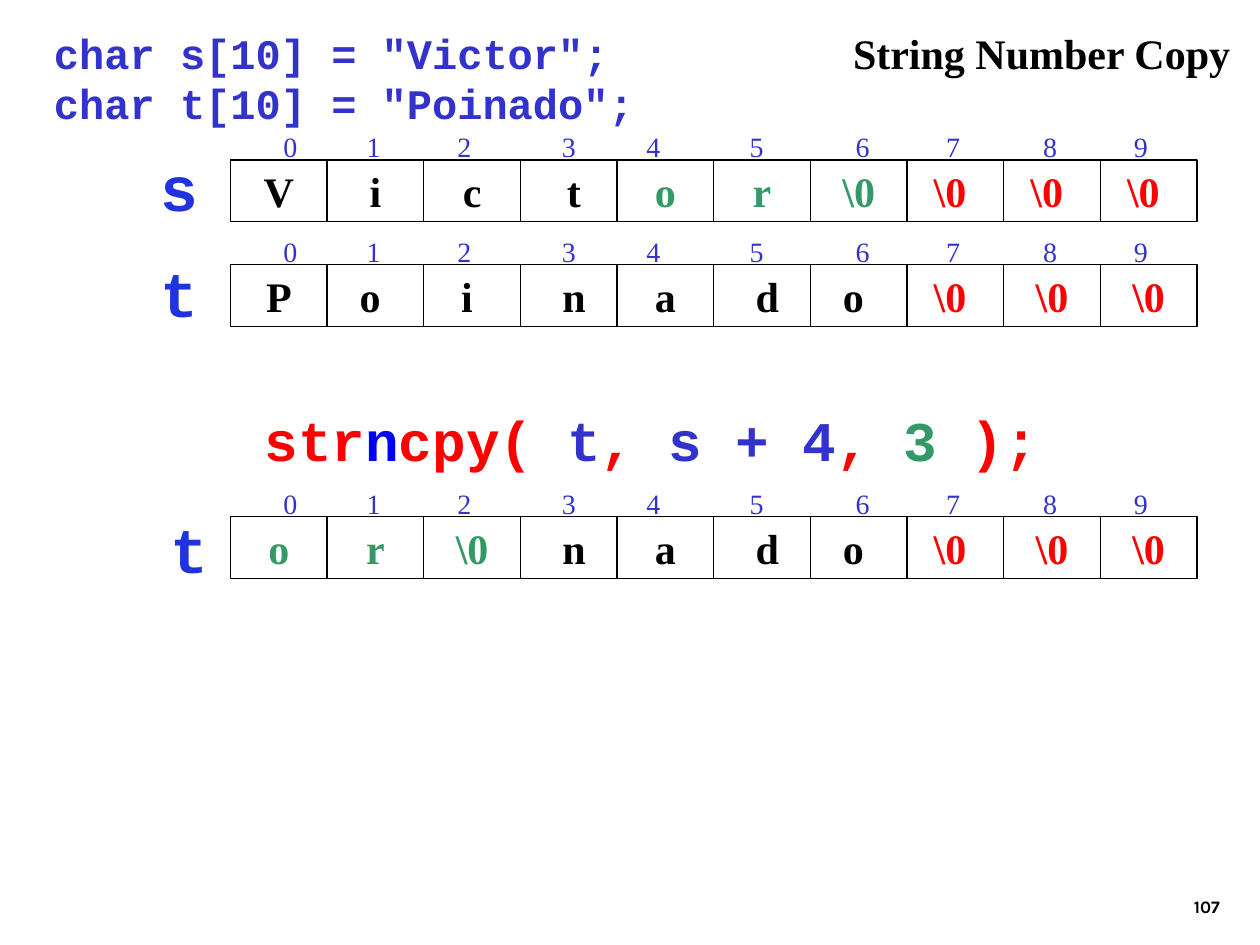
from dataclasses import dataclass

from lxml import etree
from pptx import Presentation
from pptx.dml.color import RGBColor
from pptx.enum.shapes import MSO_SHAPE
from pptx.enum.text import MSO_ANCHOR, MSO_AUTO_SIZE, PP_ALIGN
from pptx.oxml.ns import qn
from pptx.util import Inches, Pt

RECTANGLE = MSO_SHAPE.RECTANGLE
TOP, MIDDLE, BOTTOM = MSO_ANCHOR.TOP, MSO_ANCHOR.MIDDLE, MSO_ANCHOR.BOTTOM
LEFT, CENTER, RIGHT = PP_ALIGN.LEFT, PP_ALIGN.CENTER, PP_ALIGN.RIGHT
NO_AUTOFIT = MSO_AUTO_SIZE.NONE
TITLE_ONLY = 5


@dataclass(frozen=True)
class Theme:
    code_font: str = "Courier New"
    text_font: str = "Times New Roman"
    page_font: str = "Karla"
    black: str = "000000"
    red: str = "FF0000"
    green: str = "339966"
    indigo: str = "3333CC"
    blue: str = "0000FF"
    label_blue: str = "2133DF"
    name_size: int = 36
    call_size: int = 32
    text_size: int = 24
    index_size: int = 16
    page_size: int = 10
    line_width: float = 0.75


THEME = Theme()

# Array geometry in inches: the index line starts above the cells
ARRAY_LEFT, ARRAY_WIDTH, ROW_HEIGHT = 1.83, 7.67, 0.49
CELL_DROP = 0.35
INDEX_INSET = 0.42
INDEX_STOPS = (0.66, 1.38, 2.21, 2.88, 3.70, 4.54, 5.26, 6.03, 6.75)

# Each array: top, name, name position, cells, indexes taking part in the copy
ARRAYS = (
    (0.92, "s", (1.17, 1.13),
     ("V", "i", "c", " t", "o", "r", "\\0", "\\0 ", "\\0 ", "\\0 "), range(4, 7)),
    (1.75, "t", (1.17, 1.97),
     ("P", "o ", "i ", " n", " a ", " d", "o ", "\\0 ", " \\0 ", " \\0 "), ()),
    (3.75, "t", (1.25, 4.0),
     ("o", "r", "\\0", " n", " a ", " d", "o ", "\\0 ", " \\0 ", " \\0 "), range(3)),
)

CALL = (
    ("str", THEME.red), ("n", THEME.blue), ("cpy( ", THEME.red),
    ("t", THEME.indigo), (",", THEME.red), (" s + 4", THEME.indigo),
    (", ", THEME.red), ("3 ", THEME.green), (");", THEME.red),
)


def style(span, font, size, color, bold=True):
    span.font.name = font
    span.font.size = Pt(size)
    span.font.bold = bold
    span.font.color.rgb = RGBColor.from_string(color)


def set_text(shape, text, font, size, color, bold=True, align=LEFT, anchor=TOP, wrap=True):
    frame = shape.text_frame
    frame.text = text
    frame.word_wrap = wrap
    frame.auto_size = NO_AUTOFIT
    frame.vertical_anchor = anchor
    for para in frame.paragraphs:
        para.alignment = align
        for span in para.runs:
            style(span, font, size, color, bold)


def add_box(shapes, box):
    return shapes.add_textbox(*(Inches(value) for value in box))


def place_title(page, box):
    title = page.shapes.title
    title.left, title.top, title.width, title.height = (Inches(value) for value in box)
    set_text(title, "String Number Copy", THEME.text_font, THEME.text_size,
             THEME.black, wrap=False)


def add_declarations(page, box):
    set_text(add_box(page.shapes, box),
             'char s[10] = "Victor";\nchar t[10] = "Poinado";',
             THEME.code_font, THEME.text_size, THEME.indigo)


def add_call(page, box):
    frame = add_box(page.shapes, box).text_frame
    frame.word_wrap = True
    for text, color in CALL:
        span = frame.paragraphs[0].add_run()
        span.text = text
        style(span, THEME.code_font, THEME.call_size, color)


def add_index_line(shapes, box, count):
    line = add_box(shapes, box)
    set_text(line, "\t".join(str(index) for index in range(count)), THEME.text_font,
             THEME.index_size, THEME.indigo, bold=False, anchor=MIDDLE)
    line.text_frame.margin_left = Inches(INDEX_INSET)
    properties = line.text_frame.paragraphs[0]._p.get_or_add_pPr()
    stops = etree.SubElement(properties, qn("a:tabLst"))
    for stop in INDEX_STOPS:
        etree.SubElement(stops, qn("a:tab"), pos=str(Inches(stop)), algn="l")


def add_array(page, box, cells, copied):
    left, top, width, height = box
    group = page.shapes.add_group_shape()
    add_index_line(group.shapes, box, len(cells))
    cell_width = width / len(cells)
    for index, text in enumerate(cells):
        cell = group.shapes.add_shape(
            RECTANGLE, Inches(left + index * cell_width), Inches(top + CELL_DROP),
            Inches(cell_width), Inches(height))
        cell.shadow.inherit = False
        cell.fill.background()
        cell.line.color.rgb = RGBColor.from_string(THEME.black)
        cell.line.width = Pt(THEME.line_width)
        if index in copied:
            color = THEME.green
        else:
            color = THEME.red if "\\0" in text else THEME.black
        set_text(cell, text, THEME.text_font, THEME.text_size, color,
                 align=CENTER, anchor=MIDDLE, wrap=False)


def add_name(page, box, name):
    set_text(add_box(page.shapes, box), name, THEME.code_font, THEME.name_size,
             THEME.label_blue, align=RIGHT, wrap=False)


def add_page_number(page, box):
    set_text(add_box(page.shapes, box), "107", THEME.page_font, THEME.page_size,
             THEME.black, align=RIGHT, anchor=BOTTOM)


def main():
    deck = Presentation()
    deck.slide_width, deck.slide_height = Inches(10), Inches(7.5)
    page = deck.slides.add_slide(deck.slide_layouts[TITLE_ONLY])

    # Heading and declarations
    place_title(page, (6.67, 0.17, 3.2, 0.5))
    add_declarations(page, (0.33, 0.17, 7.42, 1.3))

    # Arrays before and after the call
    for top, name, (name_left, name_top), cells, copied in ARRAYS:
        add_array(page, (ARRAY_LEFT, top, ARRAY_WIDTH, ROW_HEIGHT), cells, copied)
        add_name(page, (name_left, name_top, 0.5, 0.7), name)

    # Call and page number
    add_call(page, (2, 3.17, 6.75, 1.04))
    add_page_number(page, (7.7, 6.83, 2.08, 0.5))
    deck.save("out.pptx")


if __name__ == "__main__":
    main()
